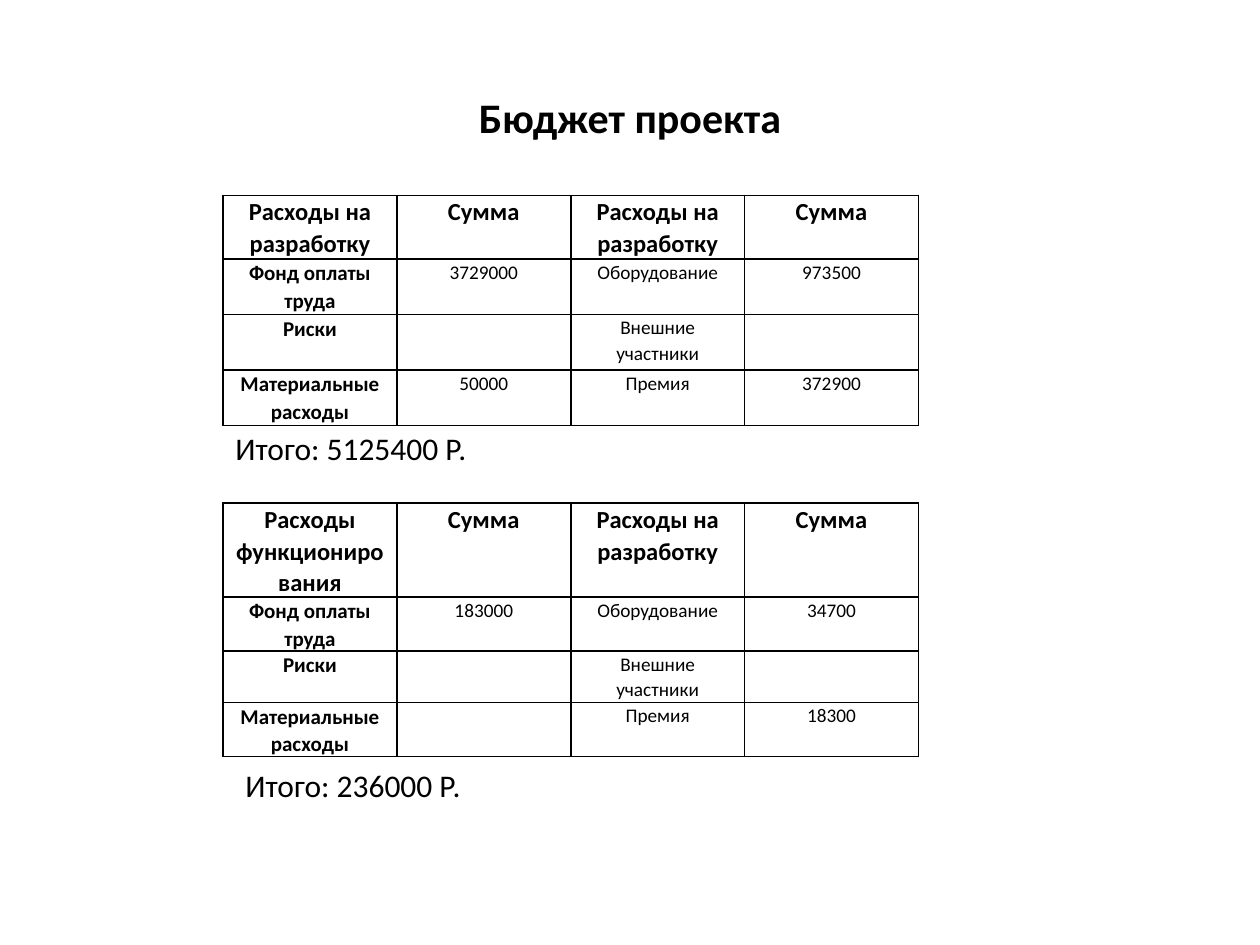
from lxml import etree
from pptx import Presentation
from pptx.dml.color import RGBColor
from pptx.enum.text import MSO_ANCHOR, MSO_AUTO_SIZE, PP_ALIGN
from pptx.oxml.ns import qn
from pptx.util import Inches, Pt

CENTER, LEFT = PP_ALIGN.CENTER, PP_ALIGN.LEFT
MIDDLE = MSO_ANCHOR.MIDDLE
GROW = MSO_AUTO_SIZE.SHAPE_TO_FIT_TEXT
TITLE_ONLY = 5

DEVELOPMENT = [
    ["Расходы на разработку", "Сумма", "Расходы на разработку", "Сумма"],
    ["Фонд оплаты труда", "3729000", "Оборудование", "973500"],
    ["Риски", "", "Внешние участники", ""],
    ["Материальные расходы", "50000", "Премия", "372900"],
]
OPERATION = [
    ["Расходы функционирования", "Сумма", "Расходы на разработку", "Сумма"],
    ["Фонд оплаты труда", "183000", "Оборудование", "34700"],
    ["Риски", "", "Внешние участники", ""],
    ["Материальные расходы", "", "Премия", "18300"],
]


def color(hex_string):
    return RGBColor.from_string(hex_string)


class Deck:
    """Style and current slide; lengths are in a grid of 100 columns by 75 rows."""
    FONT, INK, PAPER = "Calibri", "000000", "FFFFFF"

    def __init__(self, prs):
        prs.slide_width, prs.slide_height = Inches(10), Inches(7.5)
        self.col, self.row = prs.slide_width / 100, prs.slide_height / 75
        self.s = prs.slides.add_slide(prs.slide_layouts[TITLE_ONLY])

    def box(self, x, y, w, h):
        return (round(x * self.col), round(y * self.row),
                round(w * self.col), round(h * self.row))

    def add_text(self, tf, text, size, bold=False, align=LEFT):
        p = tf.paragraphs[0]
        p.alignment = align
        r = p.add_run()
        r.text = text
        r.font.name, r.font.size, r.font.bold = self.FONT, Pt(size), bold
        r.font.color.rgb = color(self.INK)
        return p

    def title(self, text, *place):
        sp = self.s.shapes.title
        sp.left, sp.top, sp.width, sp.height = self.box(*place)
        sp.text_frame.vertical_anchor = MIDDLE
        self.add_text(sp.text_frame, text, 24, True, CENTER)

    def label(self, text, *place):
        tf = self.s.shapes.add_textbox(*self.box(*place)).text_frame
        tf.word_wrap, tf.auto_size = False, GROW
        self.add_text(tf, text, 18)

    def borders(self, cell):
        tc_pr = cell._tc.get_or_add_tcPr()
        for i, side in enumerate(("lnL", "lnR", "lnT", "lnB")):
            ln = etree.Element(qn("a:" + side), w=str(Pt(1)))
            fill = etree.SubElement(ln, qn("a:solidFill"))
            etree.SubElement(fill, qn("a:srgbClr"), val=self.INK)
            tc_pr.insert(i, ln)

    def table(self, rows, x, y, w, row_h):
        place = self.box(x, y, w, row_h * len(rows))
        table = self.s.shapes.add_table(len(rows), len(rows[0]), *place).table
        table.first_row = table.horz_banding = False
        for i, row in enumerate(rows):
            for j, text in enumerate(row):
                cell = table.cell(i, j)
                cell.fill.solid()
                cell.fill.fore_color.rgb = color(self.PAPER)
                self.borders(cell)
                cell.margin_left = cell.margin_right = Inches(0.07)
                cell.margin_top = cell.margin_bottom = 0
                if text:
                    size = 14 if i == 0 else 12 if j == 0 else 11
                    p = self.add_text(cell.text_frame, text, size,
                                      i == 0 or j == 0, CENTER)
                    p.line_spacing = 1.07


def main():
    prs = Presentation()
    deck = Deck(prs)
    deck.title("Бюджет проекта", 5, 3, 90, 12.5)

    # Development costs and their total
    deck.table(DEVELOPMENT, 17.7, 15.5, 55.2, 4.4)
    deck.label("Итого: 5125400 Р.", 17.7, 33.6, 20.6, 4)

    # Running costs and their total
    deck.table(OPERATION, 17.7, 39.9, 55.2, 4.1)
    deck.label("Итого: 236000 Р.", 18.5, 60.3, 19.3, 4)

    prs.save("out.pptx")


if __name__ == "__main__":
    main()
